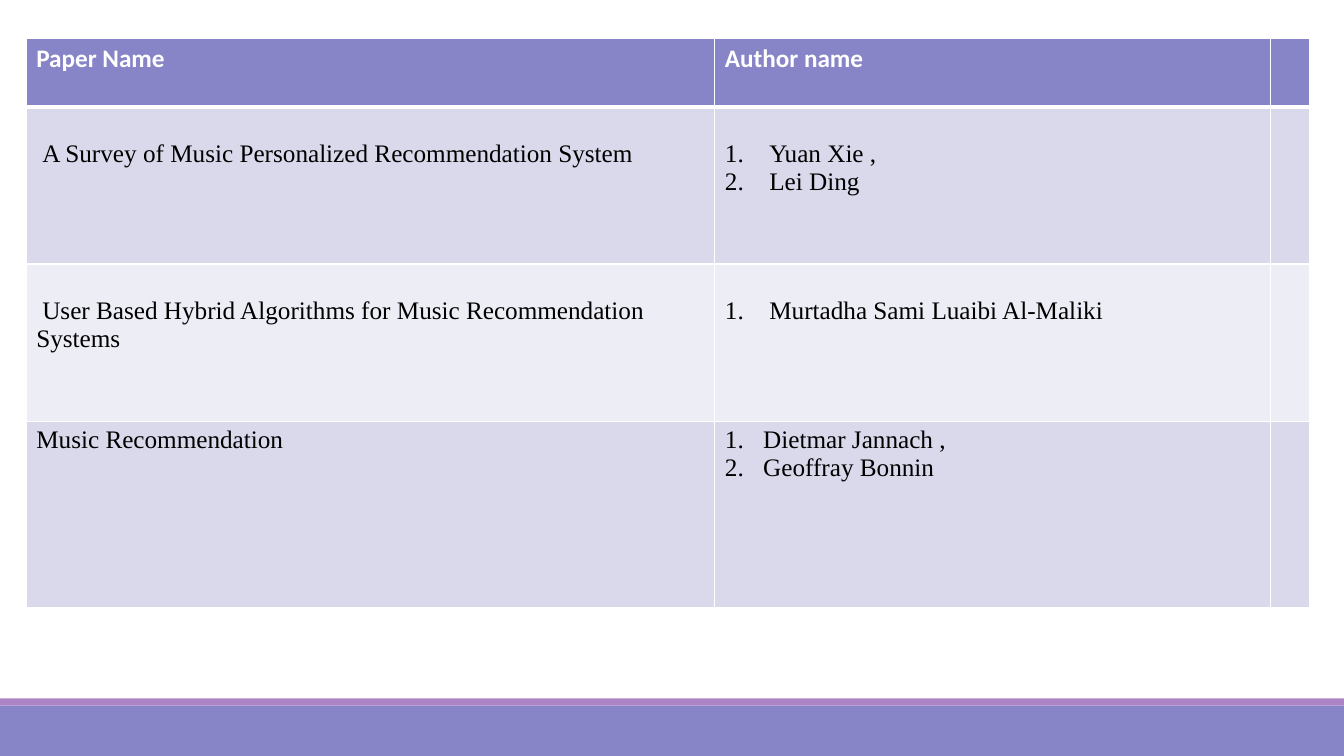
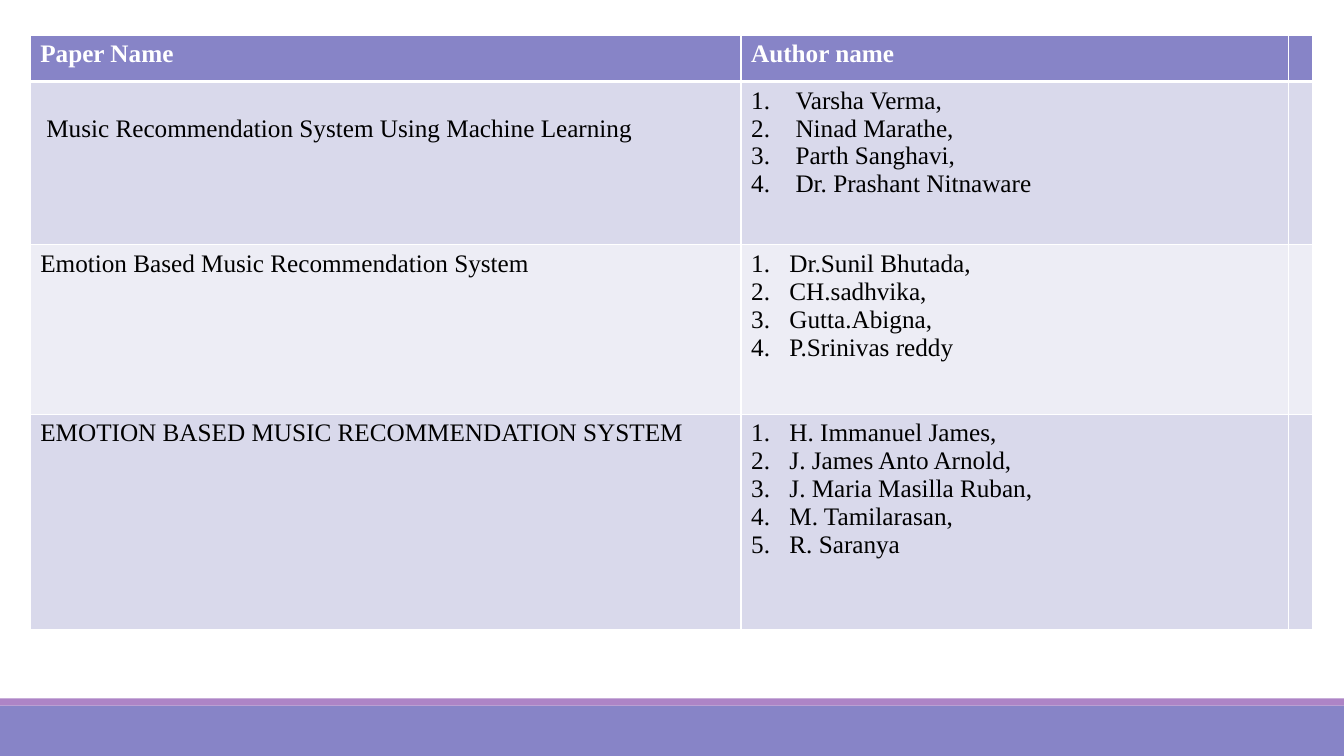
from dataclasses import dataclass

from lxml import etree
from pptx import Presentation
from pptx.dml.color import RGBColor
from pptx.enum.shapes import MSO_SHAPE
from pptx.oxml.ns import qn
from pptx.util import Inches, Pt

RECT = MSO_SHAPE.RECTANGLE
WHITE = RGBColor(0xFF, 0xFF, 0xFF)
BLACK = RGBColor(0x00, 0x00, 0x00)
VIOLET = RGBColor(0x87, 0x84, 0xC7)
ORCHID = RGBColor(0xAD, 0x84, 0xC6)
ROW_FILLS = (RGBColor(0xD9, 0xD9, 0xEB), RGBColor(0xED, 0xED, 0xF5))

WIDTH, HEIGHT = 13.33, 7.5
SERIF, SANS = "Times New Roman", "Calibri"
TEXT_SIZE = 18
LINE = 0.28      # height of one text line
MARGIN = 0.05    # top margin of a cell
HANG = 0.38      # hanging indent of a numbered list
NUDGE = 0.06     # extra indent of some entries
HEADINGS = ("Paper Name", "Author name")


@dataclass(frozen=True)
class Band:
    top: float
    height: float
    color: RGBColor


@dataclass(frozen=True)
class Paper:
    title: str
    authors: tuple[str, ...]
    title_drop: int = 0      # lines left free above the title
    author_drop: int = 0
    title_nudge: float = 0
    author_nudge: float = 0


@dataclass(frozen=True)
class PaperTable:
    left: float
    top: float
    cols: tuple[float, ...]
    rows: tuple[float, ...]
    heading_font: str
    papers: tuple[Paper, ...]


BANDS = (Band(7, 0.5, VIOLET), Band(6.93, 0.07, ORCHID))

TABLES = (
    PaperTable(0.26, 0.38, (6.83, 5.51, 0.39), (0.68, 1.56, 1.56, 1.85), SANS, (
        Paper("A Survey of Music Personalized Recommendation System",
              ("Yuan Xie ,", "Lei Ding"), 1, 1, NUDGE, NUDGE),
        Paper("User Based Hybrid Algorithms for Music Recommendation Systems",
              ("Murtadha Sami Luaibi Al-Maliki",), 1, 1, NUDGE, NUDGE),
        Paper("Music Recommendation", ("Dietmar Jannach ,", "Geoffray Bonnin")),
    )),
    PaperTable(0.3, 0.35, (7.05, 5.43, 0.23), (0.46, 1.62, 1.68, 2.14), SERIF, (
        Paper("Music Recommendation System Using Machine Learning",
              ("Varsha Verma,", "Ninad Marathe,", "Parth Sanghavi,",
               "Dr. Prashant Nitnaware"), 1, 0, NUDGE, NUDGE),
        Paper("Emotion Based Music Recommendation System",
              ("Dr.Sunil Bhutada,", "CH.sadhvika,", "Gutta.Abigna,",
               "P.Srinivas reddy")),
        Paper("EMOTION BASED MUSIC RECOMMENDATION SYSTEM",
              ("H. Immanuel James,", "J. James Anto Arnold,",
               "J. Maria Masilla Ruban,", "M. Tamilarasan,", "R. Saranya")),
    )),
)


def add_band(s, band: Band) -> None:
    sp = s.shapes.add_shape(RECT, 0, Inches(band.top), Inches(WIDTH), Inches(band.height))
    sp.shadow.inherit = False
    sp.fill.solid()
    sp.fill.fore_color.rgb = band.color
    sp.line.fill.background()


def style_cell(cell, color: RGBColor, top: float = 1, bottom: float = 1) -> None:
    """Fill a cell and give it white borders, widths in points."""
    cell.fill.solid()
    cell.fill.fore_color.rgb = color
    tc_pr = cell._tc.get_or_add_tcPr()
    for i, (side, width) in enumerate((("L", 1), ("R", 1), ("T", top), ("B", bottom))):
        ln = etree.Element(qn(f"a:ln{side}"), w=str(Pt(width)))
        fill = etree.SubElement(ln, qn("a:solidFill"))
        etree.SubElement(fill, qn("a:srgbClr"), val=str(WHITE))
        tc_pr.insert(i, ln)


def write_cell(cell, lines: tuple[str, ...], font: str, color: RGBColor,
               bold: bool = False, drop: int = 0) -> None:
    cell.margin_top = Inches(MARGIN + drop * LINE)
    tf = cell.text_frame
    tf.text = "\n".join(lines)
    for p in tf.paragraphs:
        for r in p.runs:
            r.font.name = font
            r.font.size = Pt(TEXT_SIZE)
            r.font.bold = bold
            r.font.color.rgb = color


def indent(cell, left: float, first: float, numbered: bool = False) -> None:
    for p in cell.text_frame.paragraphs:
        p_pr = p._p.get_or_add_pPr()
        p_pr.set("marL", str(Inches(left)))
        p_pr.set("indent", str(Inches(first)))
        if numbered:
            etree.SubElement(p_pr, qn("a:buAutoNum"), type="arabicPeriod")


def add_paper_table(s, spec: PaperTable) -> None:
    frame = s.shapes.add_table(len(spec.rows), len(spec.cols),
                               Inches(spec.left), Inches(spec.top),
                               Inches(sum(spec.cols)), Inches(sum(spec.rows)))
    table = frame.table
    table.first_row = table.horz_banding = False
    for col, width in zip(table.columns, spec.cols):
        col.width = Inches(width)
    for i, (row, height) in enumerate(zip(table.rows, spec.rows)):
        row.height = Inches(height)
        for cell in row.cells:
            if i == 0:
                style_cell(cell, VIOLET, bottom=3)
            else:
                style_cell(cell, ROW_FILLS[(i - 1) % 2], top=3 if i == 1 else 1)

    for j, heading in enumerate(HEADINGS):
        write_cell(table.cell(0, j), (heading,), spec.heading_font, WHITE, bold=True)
    for i, paper in enumerate(spec.papers, start=1):
        title, authors = table.cell(i, 0), table.cell(i, 1)
        write_cell(title, (paper.title,), SERIF, BLACK, drop=paper.title_drop)
        indent(title, 0, paper.title_nudge)
        write_cell(authors, paper.authors, SERIF, BLACK, drop=paper.author_drop)
        hang = HANG + paper.author_nudge
        indent(authors, hang, -hang, numbered=True)


def main() -> None:
    prs = Presentation()
    prs.slide_width, prs.slide_height = Inches(WIDTH), Inches(HEIGHT)
    blank = prs.slide_layouts[6]
    for spec in TABLES:
        s = prs.slides.add_slide(blank)
        for band in BANDS:
            add_band(s, band)
        add_paper_table(s, spec)
    prs.save("out.pptx")


if __name__ == "__main__":
    main()
